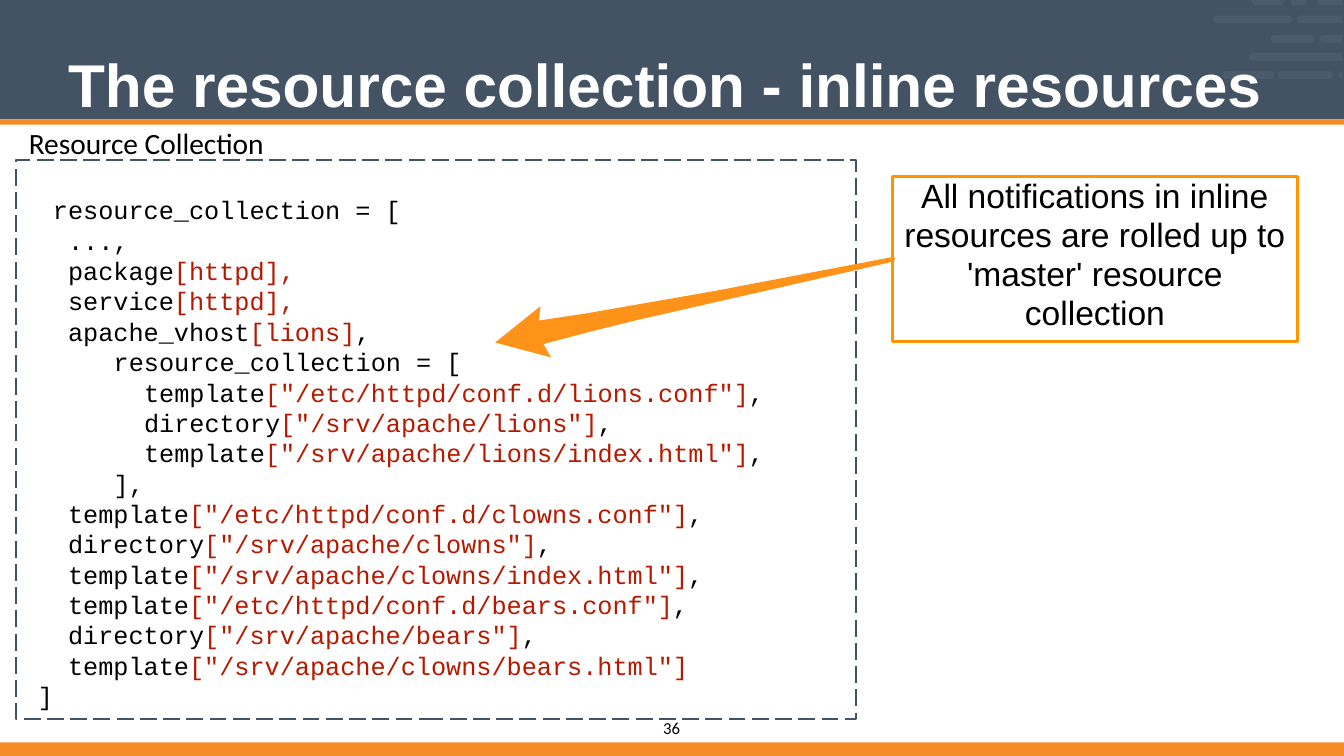
"""Build a slide showing a resource collection with inline resources."""
import math

from pptx import Presentation, util as u
from pptx.dml.color import RGBColor
from pptx.enum import dml, shapes, text

WIDTH, HEIGHT = 45.16, 25.4
SLATE, DASH, ORANGE, AMBER, ARROW = "435363", "4B5B6B", "F38C24", "FF9300", "FF9319"
BLACK, WHITE, RED = "000000", "FFFFFF", "B51A00"
CHAR = 0.51
PILL_HEIGHT, PILL_EDGE = 0.26, 45.11
PILL_ROWS = {
    -0.08: [(44.25, 45.14), (43.38, 43.92), (42.06, 43.13)],
    0.52: [(43.59, 45.4), (40.77, 43.43)],
    1.17: [(44.35, 45.16), (42.7, 44.15)],
    1.78: [(41.96, 45.4)],
    2.39: [(42.93, 44.78), (41.07, 42.82), (44.98, 45.4)],
}
ARROW_POINTS = [
    (18.16, 10.29), (16.64, 11.51), (18.52, 12.01), (18.26, 11.56), (19.89, 11.13),
    (21.34, 10.77), (30.02, 8.79), (30.07, 8.71), (30.07, 8.66), (30.02, 8.64),
    (29.97, 8.64), (24, 9.78), (19.76, 10.52), (18.11, 10.77),
]
CODE_BLOCKS = [
    ((1.78, 6.53, 11.94, 3.99), [
        (0, "resource_collection = [", "", ""),
        (1, "...,", "", ""),
        (1, "package", "[httpd],", ""),
        (1, "service", "[httpd],", ""),
    ]),
    ((2.29, 10.62, 23.6, 5), [
        (0, "apache_vhost", "[lions]", ","),
        (3, "resource_collection = [", "", ""),
        (5, "template", '["/etc/httpd/conf.d/lions.conf"]', ","),
        (5, "directory", '["/srv/apache/lions"]', ","),
        (5, "template", '["/srv/apache/lions/index.html"]', ","),
    ]),
    ((1.27, 15.72, 22.6, 8.08), [
        (5, "],", "", ""),
        (2, "template", '["/etc/httpd/conf.d/clowns.conf"]', ","),
        (2, "directory", '["/srv/apache/clowns"]', ","),
        (2, "template", '["/srv/apache/clowns/index.html"]', ","),
        (2, "template", '["/etc/httpd/conf.d/bears.conf"]', ","),
        (2, "directory", '["/srv/apache/bears"]', ","),
        (2, "template", '["/srv/apache/clowns/bears.html"]', ""),
        (0, "]", "", ""),
    ]),
]


def color(value):
    """Turn a hex string into a colour."""
    return RGBColor.from_string(value)


def lengths(values):
    """Turn centimetre values into lengths."""
    return [u.Cm(value) for value in values]


def paint(shape, fill=None, line=None, width=0):
    """Set the fill and outline of a shape and drop its shadow."""
    shape.shadow.inherit = False
    if fill:
        shape.fill.solid()
        shape.fill.fore_color.rgb = color(fill)
    else:
        shape.fill.background()
    if line:
        shape.line.color.rgb = color(line)
        shape.line.width = u.Pt(width)
    else:
        shape.line.fill.background()


def add_rectangle(page, place, **style):
    """Add a painted rectangle."""
    box = page.shapes.add_shape(shapes.MSO_SHAPE.RECTANGLE, *lengths(place))
    paint(box, **style)
    return box


def add_outline(page, points, fill):
    """Add a filled closed outline."""
    corners = [tuple(lengths(point)) for point in points]
    builder = page.shapes.build_freeform(*corners[0])
    builder.add_line_segments(corners[1:])
    paint(builder.convert_to_shape(), fill)


def add_pill(page, left, right, top):
    """Add a round-ended dash, trimmed at the page edges."""
    radius = PILL_HEIGHT / 2
    points = []
    for step in range(18):
        angle = math.radians(-90 + 180 * (step - step // 9) / 8)
        center = right - radius if step < 9 else left + radius
        x = center + radius * math.cos(angle)
        y = top + radius + radius * math.sin(angle)
        points.append((min(x, PILL_EDGE), max(y, 0)))
    add_outline(page, points, DASH)


def set_font(para, name, size, shade, bold=False):
    """Set the font of a whole paragraph."""
    para.font.name = name
    para.font.size = u.Pt(size)
    para.font.bold = bold
    para.font.color.rgb = color(shade)


def prepare_frame(box, side=0, top=0):
    """Make a wrapping, top-anchored text frame with given insets."""
    frame = box.text_frame
    frame.word_wrap = True
    frame.auto_size = text.MSO_AUTO_SIZE.NONE
    frame.vertical_anchor = text.MSO_ANCHOR.TOP
    frame.margin_left = frame.margin_right = u.Cm(side)
    frame.margin_top, frame.margin_bottom = u.Cm(top), 0
    return frame


def add_label(page, place, wording, size):
    """Add a one-line text box."""
    para = prepare_frame(page.shapes.add_textbox(*lengths(place))).paragraphs[0]
    para.text = wording
    set_font(para, "Calibri", size, BLACK)


def add_title(page, wording):
    """Fill and place the title placeholder."""
    title = page.shapes.title
    title.left, title.top, title.width, title.height = lengths((2.29, 0.84, 40.56, 2.62))
    para = prepare_frame(title, top=0.76).paragraphs[0]
    para.text = wording
    para.alignment = text.PP_ALIGN.LEFT
    set_font(para, "Arial", 57.5, WHITE, bold=True)


def add_code(page, place, lines):
    """Add code lines, indented by character widths, with red arguments."""
    frame = prepare_frame(page.shapes.add_textbox(*lengths(place)))
    for index, (depth, *parts) in enumerate(lines):
        para = frame.add_paragraph() if index else frame.paragraphs[0]
        para.line_spacing = u.Pt(28.9)
        para._p.get_or_add_pPr().set("marL", str(u.Cm(depth * CHAR)))
        set_font(para, "Courier New", 24, BLACK)
        for part, shade in zip(parts, (BLACK, RED, BLACK)):
            if part:
                span = para.add_run()
                span.text = part
                span.font.color.rgb = color(shade)


def add_callout(page, place, wording):
    """Add an outlined box with centred text."""
    box = add_rectangle(page, place, line=AMBER, width=3)
    para = prepare_frame(box, side=0.25).paragraphs[0]
    para.text = wording
    para.alignment = text.PP_ALIGN.CENTER
    para.line_spacing = u.Pt(37)
    set_font(para, "Arial", 32, BLACK)


def add_backdrop(page):
    """Add the header band, its dashes and the orange stripes."""
    add_rectangle(page, (0, 0, WIDTH, 4.01), fill=SLATE)
    for top, spans in PILL_ROWS.items():
        for left, right in spans:
            add_pill(page, left, right, top)
    for top, height in ((4.01, 0.18), (24.94, 0.46)):
        add_rectangle(page, (0, top, WIDTH, height), fill=ORANGE)


def main():
    """Build and save the deck."""
    deck = Presentation()
    deck.slide_width, deck.slide_height = lengths((WIDTH, HEIGHT))
    page = deck.slides.add_slide(deck.slide_layouts[5])
    add_backdrop(page)
    add_title(page, "The resource collection - inline resources")
    title = page.shapes.title._element
    title.getparent().append(title)
    border = add_rectangle(page, (0.53, 5.38, 28.22, 18.77), line=SLATE, width=2)
    border.line.dash_style = dml.MSO_LINE.LONG_DASH
    add_label(page, (0.97, 4.22, 8.28, 1.07), "Resource Collection", 28)
    for place, lines in CODE_BLOCKS:
        add_code(page, place, lines)
    add_callout(page, (30, 5.94, 13.59, 5.54),
                "All notifications in inline resources are rolled up to 'master' resource collection")
    add_outline(page, ARROW_POINTS, ARROW)
    add_label(page, (22.28, 24.13, 0.7, 0.7), "36", 16)
    deck.save("out.pptx")


if __name__ == "__main__":
    main()
